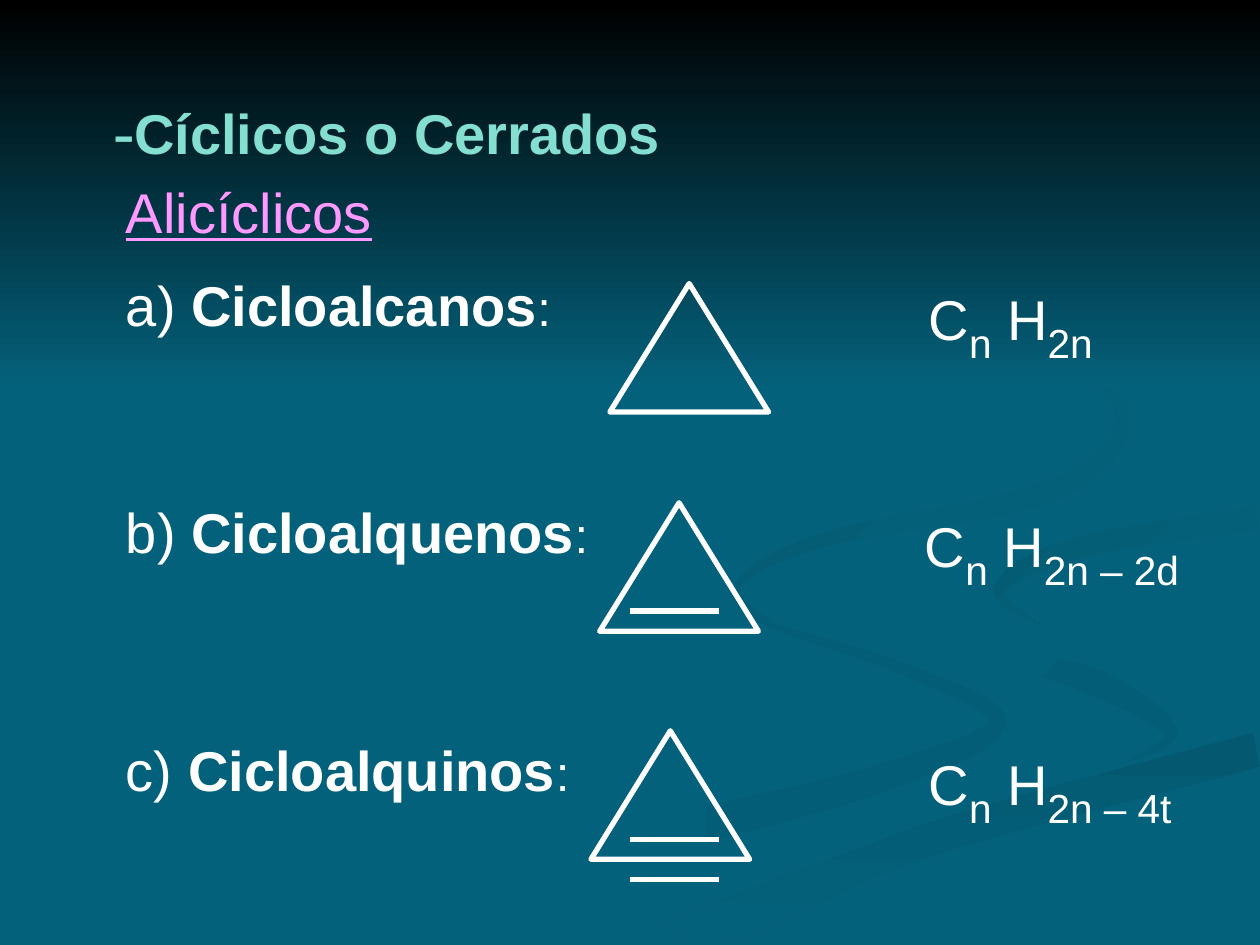
"""Build the slide on cyclic hydrocarbons: names, ring drawings and general formulas."""
from math import hypot
from typing import NamedTuple

from lxml.etree import SubElement
from pptx import Presentation
from pptx.dml.color import RGBColor
from pptx.enum.shapes import MSO_CONNECTOR as Connector, MSO_SHAPE as Shape
from pptx.oxml.ns import qn
from pptx.util import Inches, Pt

Point = tuple[float, float]

TEAL, WHITE, MINT, PINK = "04617B", "FFFFFF", "85DFD0", "FF99FF"
PAGE_WIDTH, PAGE_HEIGHT = 10, 7.5
RING_WIDTH, RING_HEIGHT = 1.26, 1.02
BOND_LEFT, BOND_RIGHT, BOND_GAP = 5, 5.71, 0.16
LABEL_LEFT = 1
CURVE_STEPS = 6


class Ribbon(NamedTuple):
    start: str
    end: str
    angle: int
    widths: tuple[float, float, float]
    spine: list[Point]


class Family(NamedTuple):
    letter: str
    name: str
    subscript: str
    text_top: float
    formula_left: float
    ring_left: float
    ring_top: float
    bond_sides: tuple[int, ...]


RIBBONS = [
    Ribbon(TEAL, "045D76", 0, (0, 0.14, 0.4), [
        (5.75, 4.6), (6.03, 4.92), (7.14, 5.3), (7.92, 5.74), (6.92, 6.2), (4.95, 6.74),
        (3.3, 7.5)]),
    Ribbon(TEAL, "045D76", 315, (0, 0.22, 0), [
        (7.24, 4.64), (7.6, 5.07), (8.7, 5.42), (9.29, 5.81), (8.94, 6.05)]),
    Ribbon("045971", TEAL, 270, (0.28, 0.25, 0.4), [
        (9.98, 5.95), (7.58, 6.6), (6.4, 7.05), (5.37, 7.5)]),
    Ribbon("045C74", TEAL, 315, (0.18, 0.15, 0), [
        (9.98, 4.11), (8.54, 4.35), (7.93, 4.68), (8.26, 4.96)]),
    Ribbon("045A72", TEAL, 315, (0, 0.16, 0), [
        (7.63, 2.33), (8.55, 2.85), (8.91, 3.4), (8.28, 3.92), (6.55, 4.28), (5.85, 4.66),
        (6.22, 5)]),
]
FAMILIES = [
    Family("a", "Cicloalcanos", "2n", 2.15, 7.37, 4.84, 2.25, ()),
    Family("b", "Cicloalquenos", "2n – 2d", 3.95, 7.34, 4.76, 3.99, (-1,)),
    Family("c", "Cicloalquinos", "2n – 4t", 5.84, 7.37, 4.69, 5.8, (-1, 1)),
]


def color(value: str) -> RGBColor:
    """Turn a hex string into a colour."""
    return RGBColor.from_string(value)


def fill_gradient(shape, start: str, end: str, angle: int) -> None:
    """Give a shape a two-colour gradient without outline or shadow."""
    shape.shadow.inherit = False
    shape.line.fill.background()
    shape.fill.gradient()
    shape.fill.gradient_angle = angle
    for stop, value, position in zip(shape.fill.gradient_stops, (start, end), (0, 1)):
        stop.color.rgb = color(value)
        stop.position = position


def smooth(points: list[Point]) -> list[Point]:
    """Run a Catmull-Rom curve through the points."""
    padded = [points[0], *points, points[-1]]
    curve = []
    for before, first, second, after in zip(padded, padded[1:], padded[2:], padded[3:]):
        for step in range(CURVE_STEPS):
            t = step / CURVE_STEPS
            curve.append(tuple(
                b + ((c - a) * t + (2 * a - 5 * b + 4 * c - d) * t ** 2
                     + (3 * b - a - 3 * c + d) * t ** 3) / 2
                for a, b, c, d in zip(before, first, second, after)))
    return [*curve, points[-1]]


def outline(ribbon: Ribbon) -> list[Point]:
    """Return both edges of a ribbon around its spine, kept on the page."""
    curve = smooth(ribbon.spine)
    last = len(curve) - 1
    first, middle, final = ribbon.widths
    edges = ([], [])
    for index, (x, y) in enumerate(curve):
        t = 2 * index / last
        width = first + (middle - first) * t if t < 1 else middle + (final - middle) * (t - 1)
        back, ahead = curve[max(index - 1, 0)], curve[min(index + 1, last)]
        dx, dy = ahead[0] - back[0], ahead[1] - back[1]
        reach = width / 2 / hypot(dx, dy)
        for edge, side in zip(edges, (-1, 1)):
            edge.append((min(x - side * dy * reach, PAGE_WIDTH),
                         min(y + side * dx * reach, PAGE_HEIGHT)))
    return edges[0] + edges[1][::-1]


def add_ribbon(page, ribbon: Ribbon) -> None:
    """Draw one background ribbon."""
    points = [(Inches(x), Inches(y)) for x, y in outline(ribbon)]
    builder = page.shapes.build_freeform(*points[0])
    builder.add_line_segments(points[1:], close=True)
    fill_gradient(builder.convert_to_shape(), ribbon.start, ribbon.end, ribbon.angle)


def add_box(page, left: float, top: float, width: float):
    """Add a one-line text box without margins and return its paragraph."""
    box = page.shapes.add_textbox(Inches(left), Inches(top), Inches(width), Inches(0.6))
    frame = box.text_frame
    frame.word_wrap = True
    frame.margin_left = frame.margin_right = frame.margin_top = frame.margin_bottom = 0
    return frame.paragraphs[0]


def add_text(para, text: str, *, size: int = 32, hue: str = WHITE, font: str = "Arial",
             bold: bool = False, underline: bool = False, baseline: int = 0) -> None:
    """Append a formatted run to a paragraph."""
    span = para.add_run()
    span.text = text
    span.font.size = Pt(size)
    span.font.name = font
    span.font.bold = bold
    span.font.underline = underline
    span.font.color.rgb = color(hue)
    if baseline:
        span.font._element.set("baseline", str(baseline * 1000))


def add_bond(page, height: float) -> None:
    """Draw one horizontal bond line."""
    bond = page.shapes.add_connector(Connector.STRAIGHT, Inches(BOND_LEFT), Inches(height),
                                     Inches(BOND_RIGHT), Inches(height))
    bond.line.color.rgb = color(WHITE)
    bond.line.width = Pt(3)
    SubElement(bond._element.spPr, qn("a:effectLst"))


def add_family(page, family: Family) -> None:
    """Draw the label, ring, extra bonds and formula of one family."""
    label = add_box(page, LABEL_LEFT, family.text_top, 3.8)
    add_text(label, f"{family.letter}) ")
    add_text(label, family.name, bold=True)
    add_text(label, ":", size=28)

    formula = add_box(page, family.formula_left, family.text_top, 2.4)
    for symbol, subscript in (("C", "n"), (" H", family.subscript)):
        add_text(formula, symbol)
        add_text(formula, subscript, size=40, baseline=-25)

    ring = page.shapes.add_shape(Shape.ISOSCELES_TRIANGLE, Inches(family.ring_left),
                                 Inches(family.ring_top), Inches(RING_WIDTH), Inches(RING_HEIGHT))
    ring.shadow.inherit = False
    ring.fill.background()
    ring.line.color.rgb = color(WHITE)
    ring.line.width = Pt(3)
    for side in family.bond_sides:
        add_bond(page, family.ring_top + RING_HEIGHT + side * BOND_GAP)


def build() -> None:
    """Build and save the deck."""
    deck = Presentation()
    deck.slide_width, deck.slide_height = Inches(PAGE_WIDTH), Inches(PAGE_HEIGHT)
    page = deck.slides.add_slide(deck.slide_layouts[6])
    page.background.fill.solid()
    page.background.fill.fore_color.rgb = color(TEAL)
    for ribbon in RIBBONS:
        add_ribbon(page, ribbon)
    sky = page.shapes.add_shape(Shape.RECTANGLE, 0, 0, Inches(PAGE_WIDTH), Inches(3.08))
    fill_gradient(sky, "000000", TEAL, 270)

    title = add_box(page, 0.9, 0.73, 7)
    add_text(title, "-", size=36, hue=MINT, font="Times New Roman", bold=True)
    add_text(title, "Cíclicos o Cerrados", hue=MINT, bold=True)
    add_text(add_box(page, LABEL_LEFT, 1.41, 4), "Alicíclicos", hue=PINK, underline=True)
    for family in FAMILIES:
        add_family(page, family)
    deck.save("out.pptx")


build()
